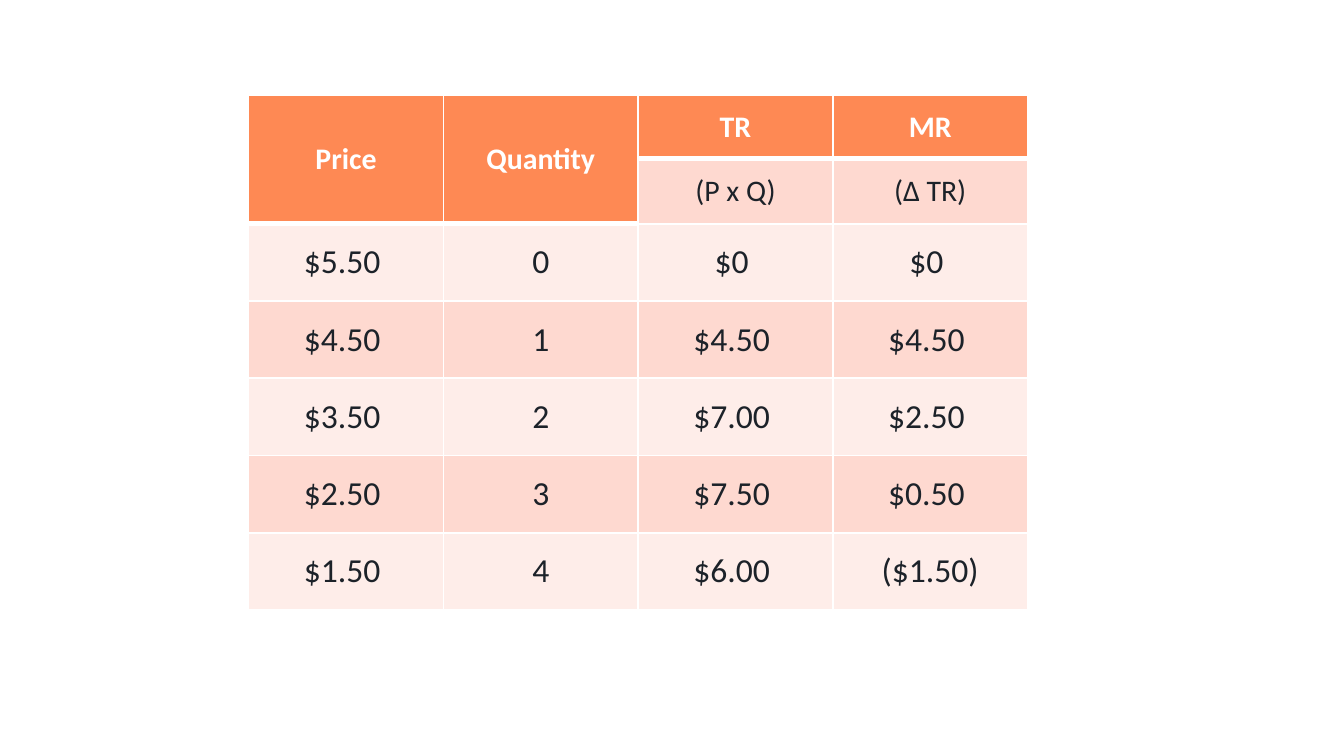
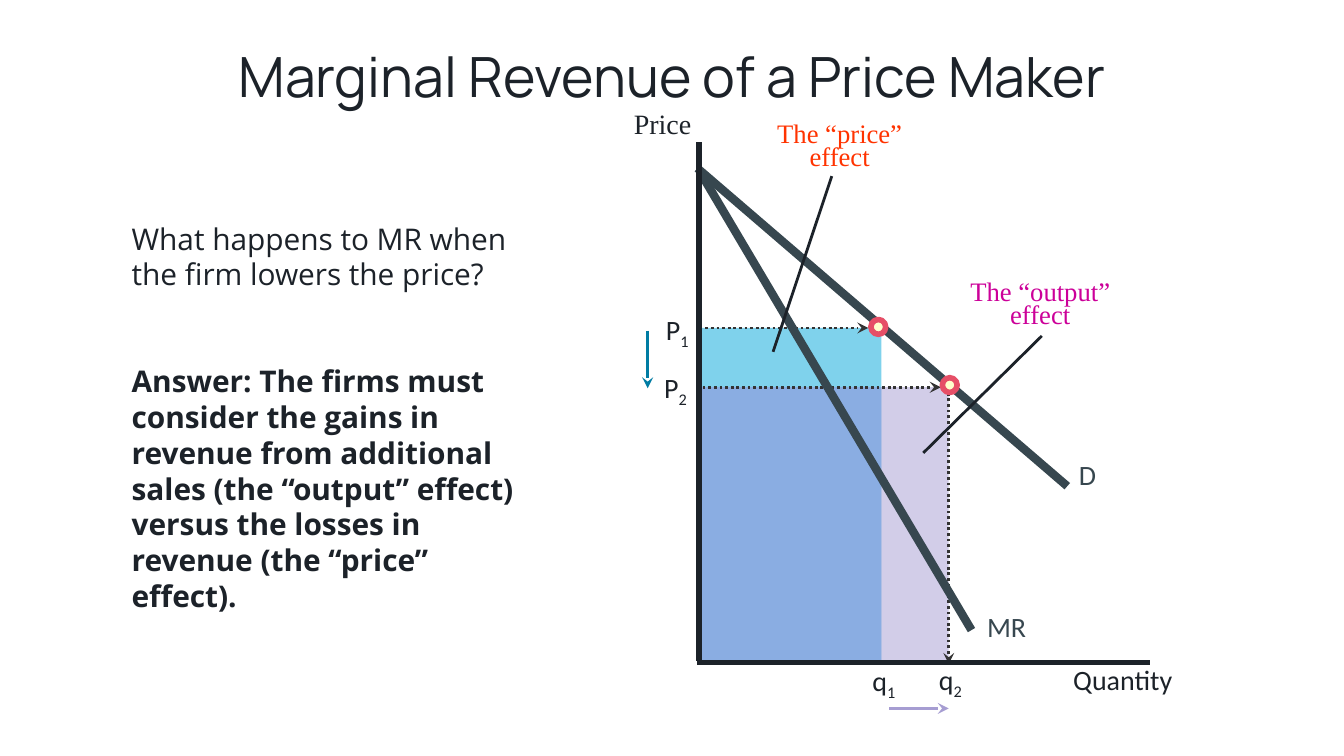
from lxml import etree
from pptx import Presentation
from pptx.dml.color import RGBColor
from pptx.enum.dml import MSO_LINE
from pptx.enum.shapes import MSO_CONNECTOR, MSO_SHAPE
from pptx.enum.text import MSO_ANCHOR, MSO_AUTO_SIZE, PP_ALIGN
from pptx.oxml.ns import qn
from pptx.util import Cm, Pt

LEFT, CENTER, RIGHT = PP_ALIGN.LEFT, PP_ALIGN.CENTER, PP_ALIGN.RIGHT
MIDDLE = MSO_ANCHOR.MIDDLE
STRAIGHT = MSO_CONNECTOR.STRAIGHT
DOTTED = MSO_LINE.ROUND_DOT
RECTANGLE, OVAL = MSO_SHAPE.RECTANGLE, MSO_SHAPE.OVAL
BLANK, TITLE_ONLY = 6, 5

COLOURS = {
    "ink": "1C2229", "white": "FFFFFF", "header": "FE8954",
    "band dark": "FED9D0", "band light": "FEEDE9",
    "curve": "37474F", "guide": "333333",
    "price loss": "00A6DA", "output gain": "A69DD2", "kept": "84A5E6",
    "price effect": "FF3300", "output effect": "CC0099",
    "price shift": "007CA3", "dot": "FFFFCC", "ring": "E64F67",
}
SANS, SERIF, TITLE_FONT, BODY_FONT = "Calibri", "Times New Roman", "Manrope", "Open Sans"

COLUMN_WIDTH = 3.68
ROW_HEIGHTS = [1.2, 1.23] + [1.46] * 5
THIN, THICK = 0.96, 3

PRICE_ROWS = [
    ["Price", "Quantity", "TR", "MR"],
    ["", "", "", ""],
    ["$5.50 ", "0", "", ""],
    ["$4.50 ", "1", "", ""],
    ["$3.50 ", "2", "", ""],
    ["$2.50 ", "3", "", ""],
    ["$1.50 ", "4", "", ""],
]
REVENUE_ROWS = [
    ["TR", "MR"],
    ["(P x Q)", "(Δ TR)"],
    ["$0 ", "$0 "],
    ["$4.50 ", "$4.50 "],
    ["$7.00 ", "$2.50 "],
    ["$7.50 ", "$0.50 "],
    ["$6.00 ", "($1.50)"],
]


def colour(name):
    return RGBColor.from_string(COLOURS[name])


def style(para, font, size, ink="ink", bold=False, align=LEFT, spacing=None):
    para.alignment = align
    if spacing:
        para.line_spacing = spacing
    para.font.name = font
    para.font.size = Pt(size)
    para.font.bold = bold
    para.font.color.rgb = colour(ink)


def add_text(shapes, box, text, font, size, ink="ink", align=CENTER,
             spacing=None, subscript="", wrap=True):
    """One-paragraph label; box is left, top, width, height in cm."""
    label = shapes.add_textbox(*map(Cm, box))
    label.text_frame.word_wrap = wrap
    para = label.text_frame.paragraphs[0]
    para.add_run().text = text
    if subscript:
        span = para.add_run()
        span.text = subscript
        span.font._element.set("baseline", "-25000")
    style(para, font, size, ink, align=align, spacing=spacing)
    return label


def add_line(shapes, start, end, ink, width, dash=None, arrow=False):
    line = shapes.add_connector(STRAIGHT, *map(Cm, (*start, *end)))
    line.line.color.rgb = colour(ink)
    line.line.width = Pt(width)
    if dash:
        line.line.dash_style = dash
    if arrow:
        etree.SubElement(line.line._get_or_add_ln(), qn("a:tailEnd"), type="stealth")
    etree.SubElement(line._element.spPr, qn("a:effectLst"))


def add_filled(shapes, kind, box, fill, opacity=None):
    area = shapes.add_shape(kind, *map(Cm, box))
    area.shadow.inherit = False
    area.fill.solid()
    area.fill.fore_color.rgb = colour(fill)
    area.line.fill.background()
    if opacity:
        paint = area._element.spPr.find(qn("a:solidFill"))[0]
        etree.SubElement(paint, qn("a:alpha"), val=str(opacity * 1000))
    return area


def set_borders(cell, top, bottom):
    """White borders, placed ahead of the fill as the schema asks."""
    properties = cell._tc.get_or_add_tcPr()
    widths = {"lnL": THIN, "lnR": THIN, "lnT": top, "lnB": bottom}
    for index, (side, width) in enumerate(widths.items()):
        border = etree.Element(qn("a:" + side), w=str(Pt(width)))
        paint = etree.SubElement(border, qn("a:solidFill"))
        etree.SubElement(paint, qn("a:srgbClr"), val=COLOURS["white"])
        properties.insert(index, border)


def add_revenue_table(page, left, top, rows, header_depths):
    """header_depths gives the number of header rows in each column."""
    count = len(header_depths)
    frame = page.shapes.add_table(len(rows), count, Cm(left), Cm(top),
                                  Cm(COLUMN_WIDTH * count), Cm(sum(ROW_HEIGHTS)))
    table = frame.table
    table.first_row = table.horz_banding = False
    for column in table.columns:
        column.width = Cm(COLUMN_WIDTH)
    for r, height in enumerate(ROW_HEIGHTS):
        table.rows[r].height = Cm(height)
        for c, depth in enumerate(header_depths):
            cell = table.cell(r, c)
            is_header = r < depth
            band = "band dark" if r % 2 else "band light"
            cell.fill.solid()
            cell.fill.fore_color.rgb = colour("header" if is_header else band)
            set_borders(cell, THICK if r == depth else THIN, THICK if is_header else THIN)
            cell.margin_left = cell.margin_right = Cm(0.03)
            cell.vertical_anchor = MIDDLE
            if rows[r][c]:
                para = cell.text_frame.paragraphs[0]
                para.add_run().text = rows[r][c]
                style(para, SANS, 16 if r < 2 else 18,
                      "white" if is_header else "ink", is_header, CENTER)
    # Tall header cells
    for c, depth in enumerate(header_depths):
        if depth > 1:
            table.cell(0, c).merge(table.cell(depth - 1, c))


def add_title(page, text):
    title = page.shapes.title
    title.left, title.top, title.width, title.height = map(Cm, (3.18, 0.79, 19.05, 1.42))
    frame = title.text_frame
    frame.text = text
    frame.auto_size = MSO_AUTO_SIZE.NONE
    frame.vertical_anchor = MIDDLE
    frame.margin_left = frame.margin_right = Cm(0.2)
    frame.margin_top = frame.margin_bottom = Cm(0.1)
    style(frame.paragraphs[0], TITLE_FONT, 29.7, align=CENTER, spacing=0.9)


def add_question(page, box, question, answer):
    frame = page.shapes.add_textbox(*map(Cm, box)).text_frame
    frame.word_wrap = True
    frame.text = question
    style(frame.paragraphs[0], BODY_FONT, 16)
    para = frame.add_paragraph()
    para.text = answer
    para.space_before = Pt(38)
    style(para, BODY_FONT, 16, bold=True)


def add_effect(page, at, box, text, ink, start, end):
    """A coloured caption grouped with its pointer."""
    group = page.shapes.add_group_shape().shapes
    label = add_text(group, at(*box), text, SERIF, 14.3, ink, spacing=0.7, wrap=False)
    label.text_frame.vertical_anchor = MIDDLE
    add_line(group, at(*start), at(*end), "ink", 1.5)


def add_graph(page, left, top):
    """Demand graph; left, top is the upper end of the price axis."""
    shapes = page.shapes
    q1, q2, p1, p2, base = 3.48, 4.75, 3.51, 4.63, 9.86

    def at(x, y, *size):
        return (left + x, top + y, *size)

    # Revenue areas
    for right, upper, fill in ((q1, p1, "price loss"), (q2, p2, "output gain"),
                               (q1, p2, "kept")):
        add_filled(shapes, RECTANGLE, at(0, upper, right, base - upper), fill, 50)

    # Axis names
    price = add_text(shapes, at(-1.45, -0.63, 1.65, 0.69), "Price", SERIF, 15,
                     align=LEFT, spacing=0.7)
    price.fill.solid()
    price.fill.fore_color.rgb = colour("white")
    add_text(shapes, at(6.45, 9.88, 3.18, 0.69), "Quantity", SANS, 15, spacing=0.7)

    # Guides, axes and curves
    for start, end in (((0.1, p2), (4.6, p2)), ((0.15, p1), (3.23, p1)),
                       ((q2, p2), (q2, base))):
        add_line(shapes, at(*start), at(*end), "guide", 1.5, DOTTED, arrow=True)
    add_line(shapes, at(0, 9.83), at(8.56, 9.83), "ink", 3)
    add_line(shapes, at(0.05, 0.56), at(5.18, 9.22), "curve", 4.5)
    add_line(shapes, at(0, 0.49), at(6.99, 6.5), "curve", 4.5)
    for text, box in (("D", (6.84, 6.05, 1.07, 0.64)), ("MR", (5.06, 8.94, 1.57, 0.64))):
        add_text(shapes, at(*box), text, SANS, 15, "curve", spacing=0.6)

    # Price and quantity marks
    for letter, number, box, align in (
            ("P", "1", (-1.85, 3.1, 1.93, 0.97), RIGHT),
            ("P", "2", (-1.88, 4.19, 1.93, 0.97), RIGHT),
            ("q", "1", (2.85, 9.73, 1.35, 0.97), CENTER),
            ("q", "2", (4.07, 9.71, 1.42, 0.97), CENTER)):
        add_text(shapes, at(*box), letter, SANS, 15, align=align, subscript=number)

    # Points on the demand curve
    size = 0.28
    for x, y in ((4.77, 4.59), (3.42, 3.49)):
        dot = add_filled(shapes, OVAL, at(x - size / 2, y - size / 2, size, size), "dot")
        dot.line.color.rgb = colour("ring")
        dot.line.width = Pt(3)

    # Captions of the two effects
    add_effect(page, at, (0.76, -0.45, 3.86, 1.12), "The “price” effect",
               "price effect", (2.54, 0.64), (1.43, 3.96))
    add_effect(page, at, (4.32, 2.54, 4.32, 1.12), "The “output” effect",
               "output effect", (6.51, 3.66), (4.27, 5.87))

    # Shift arrows, then the price axis on top
    add_line(shapes, at(-0.94, 3.56), at(-0.94, 4.65), "price shift", 1.5, arrow=True)
    add_line(shapes, at(3.63, 10.7), at(q2, 10.7), "output gain", 1.5, arrow=True)
    add_line(shapes, at(0.03, 0), at(0.03, 9.81), "ink", 3)


def build_table_slide(deck):
    page = deck.slides.add_slide(deck.slide_layouts[BLANK])
    left, top = 4.7, 1.8
    add_revenue_table(page, left, top, PRICE_ROWS, [2, 2, 1, 1])
    add_revenue_table(page, left + 2 * COLUMN_WIDTH, top, REVENUE_ROWS, [1, 1])


def build_graph_slide(deck):
    page = deck.slides.add_slide(deck.slide_layouts[TITLE_ONLY])
    add_title(page, "Marginal Revenue of a Price Maker")
    add_graph(page, 13.18, 2.69)
    add_question(
        page, (2.24, 4.04, 8.15, 7.7),
        "What happens to MR when the firm lowers the price?",
        "Answer: The firms must consider the gains in revenue from additional sales "
        "(the “output” effect) versus the losses in revenue (the “price” effect).")


def main():
    deck = Presentation()
    deck.slide_width, deck.slide_height = Cm(25.4), Cm(14.29)
    build_table_slide(deck)
    build_graph_slide(deck)
    deck.save("out.pptx")


if __name__ == "__main__":
    main()
